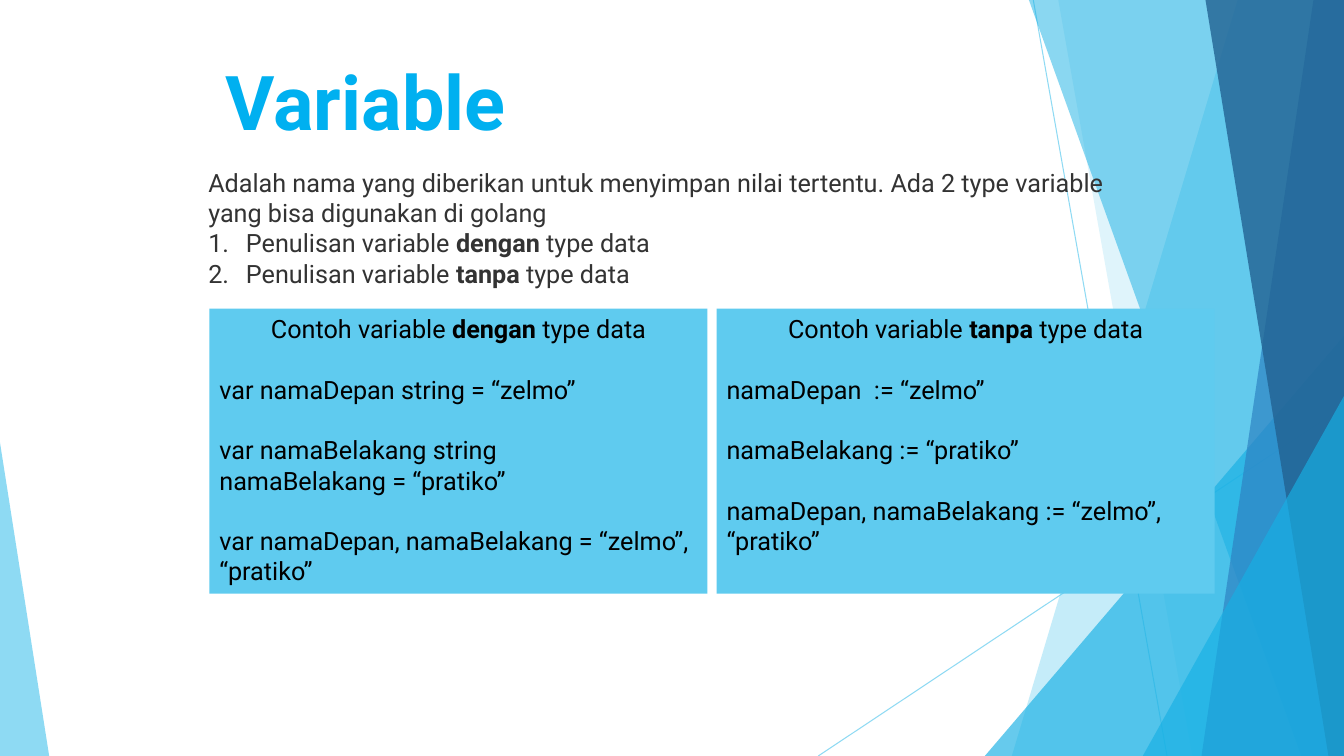
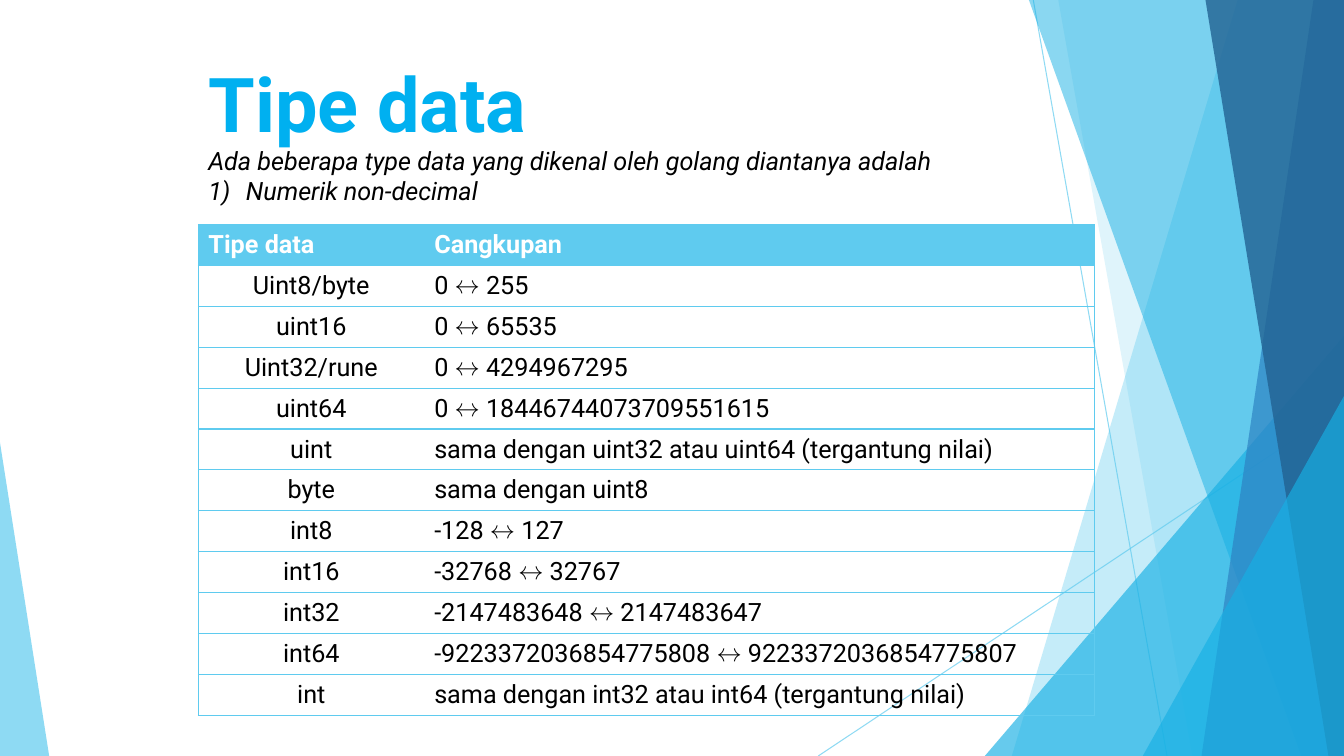
"""Build two slides on Go variables and integer types over shared faceted artwork."""
from lxml.etree import SubElement
from pptx import Presentation
from pptx.dml.color import RGBColor
from pptx.enum.shapes import MSO_CONNECTOR as Connector, MSO_SHAPE as Shape
from pptx.enum.text import MSO_ANCHOR as Anchor, PP_ALIGN as Align
from pptx.oxml.ns import qn
from pptx.util import Cm, Pt

SKY = RGBColor(0x5F, 0xCB, 0xEF)
CYAN = RGBColor(0x17, 0xB0, 0xE4)
BLUE = RGBColor(0x2E, 0x83, 0xC3)
NAVY = RGBColor(0x22, 0x62, 0x92)
TITLE_BLUE = RGBColor(0x00, 0xB0, 0xF0)
CHARCOAL = RGBColor(0x33, 0x33, 0x33)
BLACK = RGBColor(0x00, 0x00, 0x00)
WHITE = RGBColor(0xFF, 0xFF, 0xFF)
FONT = "Roboto"
WIDTH, HEIGHT = 33.87, 19.05
NO_TABLE_STYLE = "{2D5ABB26-0587-4C30-8999-92F81FD0307C}"


def write_paragraph(frame, text, color=BLACK, size=18, bold=False, italic=False,
                    align=Align.LEFT, numbering=None, gap=0):
    """Append a paragraph; parts between double asterisks are bold."""
    paragraph = frame.paragraphs[0]
    if paragraph.runs:
        paragraph = frame.add_paragraph()
    paragraph.alignment = align
    paragraph.space_before = Pt(gap)
    if numbering:
        properties = paragraph._p.get_or_add_pPr()
        properties.set("marL", str(Cm(0.95)))
        properties.set("indent", str(-Cm(0.95)))
        SubElement(properties, qn("a:buFont"), typeface="+mj-lt")
        SubElement(properties, qn("a:buAutoNum"), type=numbering)
    for index, part in enumerate(text.split("**")):
        run = paragraph.add_run()
        run.text = part
        run.font.name = FONT
        run.font.size = Pt(size)
        run.font.bold = bold or index % 2 == 1
        run.font.italic = italic
        run.font.color.rgb = color


def add_text_box(slide, top, width, height):
    """Add a wrapping text box on the common left edge and return its frame."""
    frame = slide.shapes.add_textbox(Cm(5), Cm(top), Cm(width), Cm(height)).text_frame
    frame.word_wrap = True
    return frame


presentation = Presentation()
presentation.slide_width = Cm(WIDTH)
presentation.slide_height = Cm(HEIGHT)
blank_layout = presentation.slide_layouts[6]
variable_slide = presentation.slides.add_slide(blank_layout)
types_slide = presentation.slides.add_slide(blank_layout)

artwork = variable_slide.shapes.add_group_shape()
translucent = []
for start_x, start_y, end_x, end_y in [(26.04, 0, 29.41, HEIGHT), (WIDTH, 10.24, 20.62, HEIGHT)]:
    line = artwork.shapes.add_connector(
        Connector.STRAIGHT, Cm(start_x), Cm(start_y), Cm(end_x), Cm(end_y))
    line.line.color.rgb = SKY
    line.line.width = Pt(0.75)
    SubElement(line.element.spPr, qn("a:effectLst"))
    translucent.append((line, 70))

FACETS = [
    ("band", (31.19, 25.5), SKY, 36),
    ("band", (26.67, 30.05), SKY, 20),
    ("triangle", (24.82, 8.46, WIDTH), CYAN, 66),
    ("band", (25.93, 32.79), CYAN, 50),
    ("band", (33.1, 30.28), BLUE, 70),
    ("band", (30.38, 33.48), NAVY, 80),
    ("triangle", (28.8, 9.98, WIDTH), CYAN, 66),
    ("triangle", (0, 11.15, 1.24), SKY, 70),
]
for kind, geometry, color, opacity in FACETS:
    if kind == "band":
        top_x, bottom_x = geometry
        outline = artwork.shapes.build_freeform(Cm(top_x), 0)
        outline.add_line_segments([(Cm(WIDTH), 0), (Cm(WIDTH), Cm(HEIGHT)),
                                   (Cm(bottom_x), Cm(HEIGHT))])
        facet = outline.convert_to_shape()
    else:
        left, top, right = geometry
        facet = artwork.shapes.add_shape(Shape.ISOSCELES_TRIANGLE, Cm(left), Cm(top),
                                         Cm(right - left), Cm(HEIGHT - top))
        facet.adjustments[0] = 1 if left else 0
    facet.shadow.inherit = False
    facet.fill.solid()
    facet.fill.fore_color.rgb = color
    facet.line.fill.background()
    translucent.append((facet, opacity))

for shape, opacity in translucent:
    color_element = next(shape.element.iter(qn("a:srgbClr")))
    SubElement(color_element, qn("a:alpha"), val=str(opacity * 1000))
blank_layout.shapes.element.append(artwork.element)

for slide, title, top, width, align in [
    (variable_slide, "Variable", 1.27, 8.43, Align.CENTER),
    (types_slide, "Tipe data", 1.32, 9.22, Align.LEFT),
]:
    write_paragraph(add_text_box(slide, top, width, 2.57), title, TITLE_BLUE, 54,
                    bold=True, align=align)

intro = add_text_box(variable_slide, 4.09, 23.85, 3.33)
write_paragraph(intro, "Adalah nama yang diberikan untuk menyimpan nilai tertentu. "
                "Ada 2 type variable yang bisa digunakan di golang", CHARCOAL)
for kind in ["dengan", "tanpa"]:
    write_paragraph(intro, f"Penulisan variable **{kind}** type data", CHARCOAL,
                    numbering="arabicPeriod")

EXAMPLES = [
    ("dengan", [
        ["var namaDepan string = “zelmo”"],
        ["var namaBelakang string", "namaBelakang = “pratiko”"],
        ["var namaDepan, namaBelakang = “zelmo”, “pratiko”"],
    ]),
    ("tanpa", [
        ["namaDepan  := “zelmo”"],
        ["namaBelakang := “pratiko”"],
        ["namaDepan, namaBelakang := “zelmo”, “pratiko”"],
    ]),
]
for column, (kind, snippets) in enumerate(EXAMPLES):
    panel = variable_slide.shapes.add_shape(
        Shape.RECTANGLE, Cm(5.28 + column * 12.78), Cm(7.78), Cm(12.55), Cm(7.18))
    panel.shadow.inherit = False
    panel.fill.solid()
    panel.fill.fore_color.rgb = SKY
    panel.line.fill.background()
    frame = panel.text_frame
    frame.word_wrap = True
    frame.vertical_anchor = Anchor.TOP
    write_paragraph(frame, f"Contoh variable **{kind}** type data", align=Align.CENTER)
    for snippet in snippets:
        for index, code in enumerate(snippet):
            write_paragraph(frame, code, gap=0 if index else 21.6)

intro = add_text_box(types_slide, 3.53, 23.85, 1.8)
write_paragraph(intro, "Ada beberapa type data yang dikenal oleh golang diantanya adalah",
                italic=True)
write_paragraph(intro, "Numerik non-decimal", italic=True, numbering="arabicParenR")

TYPE_ROWS = [
    ("Tipe data", "Cangkupan"),
    ("Uint8/byte", "0 ↔ 255"),
    ("uint16", "0 ↔ 65535"),
    ("Uint32/rune", "0 ↔ 4294967295"),
    ("uint64", "0 ↔ 18446744073709551615"),
    ("uint", "sama dengan uint32 atau uint64 (tergantung nilai)"),
    ("byte", "sama dengan uint8"),
    ("int8", "-128 ↔ 127"),
    ("int16", "-32768 ↔ 32767"),
    ("int32", "-2147483648 ↔ 2147483647"),
    ("int64", "-9223372036854775808 ↔ 9223372036854775807"),
    ("int", "sama dengan int32 atau int64 (tergantung nilai)"),
]
COLUMN_WIDTHS = [5.69, 16.89]
ROW_HEIGHT = 1.03
table_frame = types_slide.shapes.add_table(
    len(TYPE_ROWS), len(COLUMN_WIDTHS), Cm(5), Cm(5.66),
    Cm(sum(COLUMN_WIDTHS)), Cm(ROW_HEIGHT * len(TYPE_ROWS)))
next(table_frame.element.iter(qn("a:tableStyleId"))).text = NO_TABLE_STYLE
table = table_frame.table
table.horz_banding = False
for column, width in enumerate(COLUMN_WIDTHS):
    table.columns[column].width = Cm(width)
for row, texts in enumerate(TYPE_ROWS):
    table.rows[row].height = Cm(ROW_HEIGHT)
    for column, text in enumerate(texts):
        cell = table.cell(row, column)
        cell.vertical_anchor = Anchor.MIDDLE
        is_header = row == 0
        centred = column == 0 and not is_header
        write_paragraph(cell.text_frame, text, WHITE if is_header else BLACK, bold=is_header,
                        align=Align.CENTER if centred else Align.LEFT)
        outer_side = "a:lnR" if column else "a:lnL"
        for side in [outer_side, "a:lnT", "a:lnB"]:
            border = SubElement(cell._tc.get_or_add_tcPr(), qn(side), w=str(Pt(1)))
            border_fill = SubElement(border, qn("a:solidFill"))
            SubElement(border_fill, qn("a:srgbClr"), val=str(SKY))
        if is_header:
            cell.fill.solid()
            cell.fill.fore_color.rgb = SKY
        else:
            cell.fill.background()

presentation.save("out.pptx")
